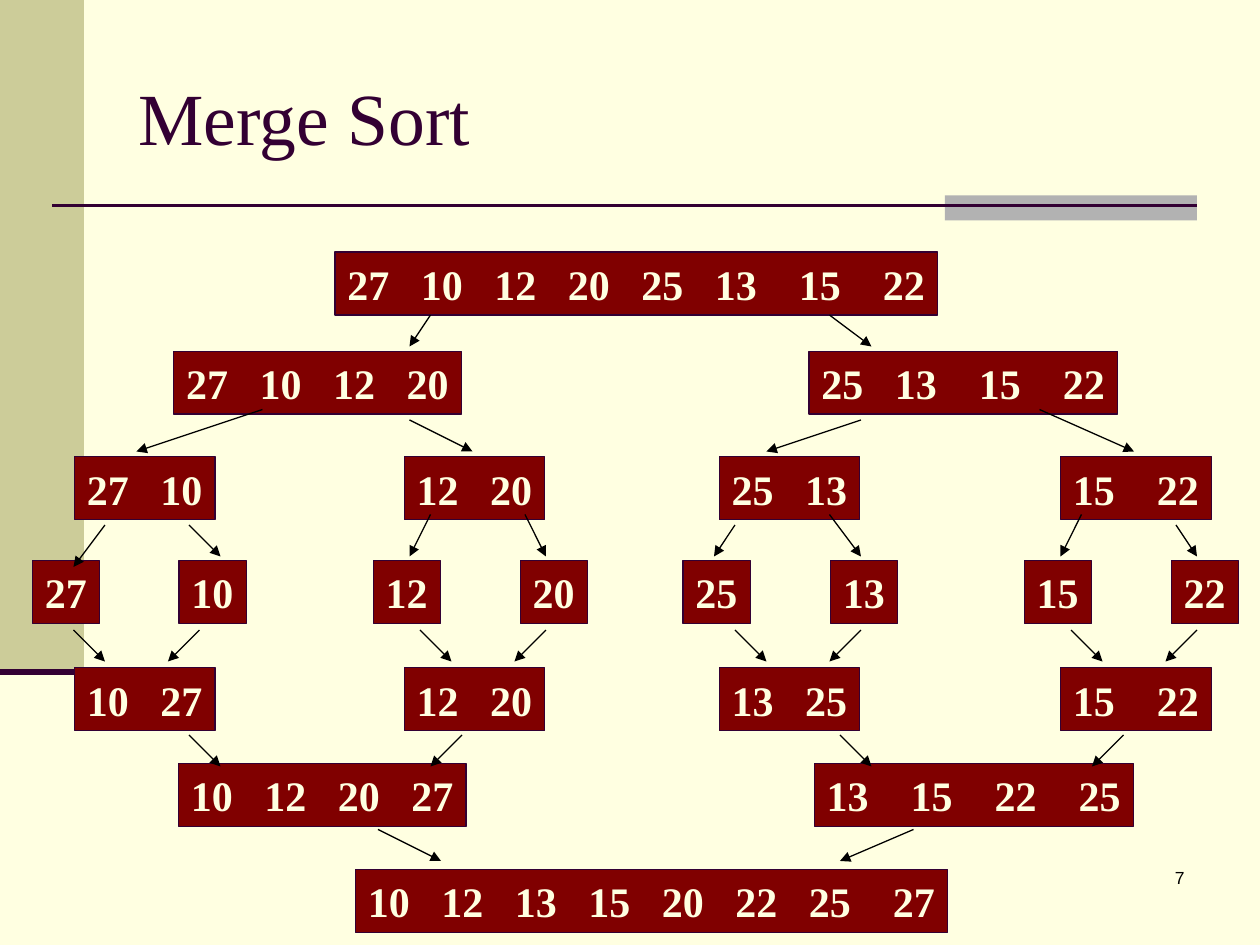
"""Build the Merge Sort slide: lists split down to single numbers and merged again."""
from lxml import etree
from pptx import Presentation
from pptx.dml.color import RGBColor
from pptx.enum.shapes import MSO_CONNECTOR, MSO_SHAPE
from pptx.enum.text import MSO_ANCHOR, MSO_AUTO_SIZE, PP_ALIGN
from pptx.oxml.ns import qn
from pptx.util import Inches, Pt

RECT = MSO_SHAPE.RECTANGLE
LINE = MSO_CONNECTOR.STRAIGHT
TOP, MIDDLE = MSO_ANCHOR.TOP, MSO_ANCHOR.MIDDLE
LEFT, RIGHT = PP_ALIGN.LEFT, PP_ALIGN.RIGHT
FIXED = MSO_AUTO_SIZE.NONE

HEX = {"page": "FFFFE1", "band": "CCCC99", "bar": "B2B2B2",
       "plum": "330033", "red": "800000", "black": "000000"}
INK = {name: RGBColor.from_string(code) for name, code in HEX.items()}
SERIF = "Times New Roman"

deck = Presentation()
deck.slide_width, deck.slide_height = Inches(10), Inches(7.5)
CELL = deck.slide_width / 120
slide = deck.slides.add_slide(deck.slide_layouts[5])
slide.background.fill.solid()
slide.background.fill.fore_color.rgb = INK["page"]
shapes = slide.shapes


def write(shape, text, size, ink, font=SERIF, bold=False, align=LEFT,
          anchor=MIDDLE, stops=(), right=0.1):
    frame = shape.text_frame
    frame.auto_size = FIXED
    frame.word_wrap = True
    frame.vertical_anchor = anchor
    frame.margin_left, frame.margin_right = Inches(0.1), Inches(right)
    frame.margin_top = frame.margin_bottom = Inches(0.05)
    para = frame.paragraphs[0]
    para.alignment = align
    if stops:
        tabs = etree.SubElement(para._p.get_or_add_pPr(), qn("a:tabLst"))
        for stop in stops:
            etree.SubElement(tabs, qn("a:tab"), pos=str(round(stop * CELL)), algn="l")
    run = para.add_run()
    run.text = text
    run.font.name, run.font.size, run.font.bold = font, Pt(size), bold
    run.font.color.rgb = INK[ink]


def rule(ends, ink, width, arrow=False):
    line = shapes.add_connector(LINE, *(round(end * CELL) for end in ends))
    line.line.color.rgb = INK[ink]
    line.line.width = Pt(width)
    if arrow:
        etree.SubElement(line.line._get_or_add_ln(), qn("a:tailEnd"), type="triangle")
    etree.SubElement(line._element.spPr, qn("a:effectLst"))


for ink, area in (("band", (0, 0, 8, 64)), ("bar", (90, 18.6, 24, 2.4))):
    block = shapes.add_shape(RECT, *(round(side * CELL) for side in area))
    block.shadow.inherit = False
    block.fill.solid()
    block.fill.fore_color.rgb = INK[ink]
    block.line.fill.background()
rule((5, 19.6, 114, 19.6), "plum", 1.5)
rule((0, 64, 8, 64), "plum", 3.5)

title = shapes.title
title.left, title.top = Inches(1), Inches(0.3)
title.width, title.height = Inches(8.5), Inches(1.25)
write(title, "Merge Sort", 42, "plum")

# A slash marks a number that stands one column further right.
STEPS = [
    (24, [(31.9, "27 10 12 20 25 13 /15 /22")], []),
    (33.45, [(16.55, "27 10 12 20"), (77.05, "25 13 /15 /22")],
     [(41, 30, 39, 33), (79, 30, 83, 33)]),
    (43.5, [(7.1, "27 10"), (38.5, "12 20"), (68.5, "25 13"), (101, "15 /22")],
     [(25, 39, 13, 43), (39, 40, 45, 43), (82, 40, 73, 43), (99, 39, 108, 43)]),
    (53.4, [(3.1, "27"), (17.05, "10"), (35.55, "12"), (49.55, "20"),
            (65.05, "25"), (79.1, "13"), (97.55, "15"), (111.55, "22")],
     [(10, 50, 7, 54), (18, 50, 21, 53), (41, 49, 39, 53), (50, 49, 52, 53),
      (70, 50, 68, 53), (79, 49, 82, 53), (103, 49, 101, 53), (112, 50, 114, 53)]),
    (63.6, [(7.1, "10 27"), (38.5, "12 20"), (68.5, "13 25"), (101, "15 /22")],
     [(x, 60, x + move, 63) for x, move in
      ((7, 3), (19, -3), (40, 3), (52, -3), (70, 3), (82, -3), (102, 3), (114, -3))]),
    (72.7, [(17, "10 12 20 27"), (77.55, "13 /15 /22 /25")],
     [(x, 70, x + move, 73) for x, move in ((18, 3), (44, -3), (80, 3), (107, -3))]),
    (82.8, [(33.85, "10 12 13 15 20 22 25 /27")],
     [(36, 79, 42, 82), (87, 79, 80, 82)]),
]
for top, lists, arrows in STEPS:
    for left, code in lists:
        items = code.split()
        stops = []
        end = 0
        for item in items[1:]:
            end += 8 if item.startswith("/") else 7
            stops.append(end)
        area = (left, top, end + 6.4, 6)
        box = shapes.add_shape(RECT, *(round(side * CELL) for side in area))
        box.shadow.inherit = False
        box.fill.solid()
        box.fill.fore_color.rgb = INK["red"]
        box.line.color.rgb = INK["plum"]
        box.line.width = Pt(0.75)
        text = "\t".join(item.strip("/") for item in items)
        write(box, text, 24, "page", bold=True, stops=stops, right=0)
    for ends in arrows:
        rule(ends, "black", 0.75, arrow=True)

page = shapes.add_textbox(*(round(side * CELL) for side in (89, 82, 25, 6)))
write(page, "7", 10, "black", font="Arial", align=RIGHT, anchor=TOP)

deck.save("out.pptx")
